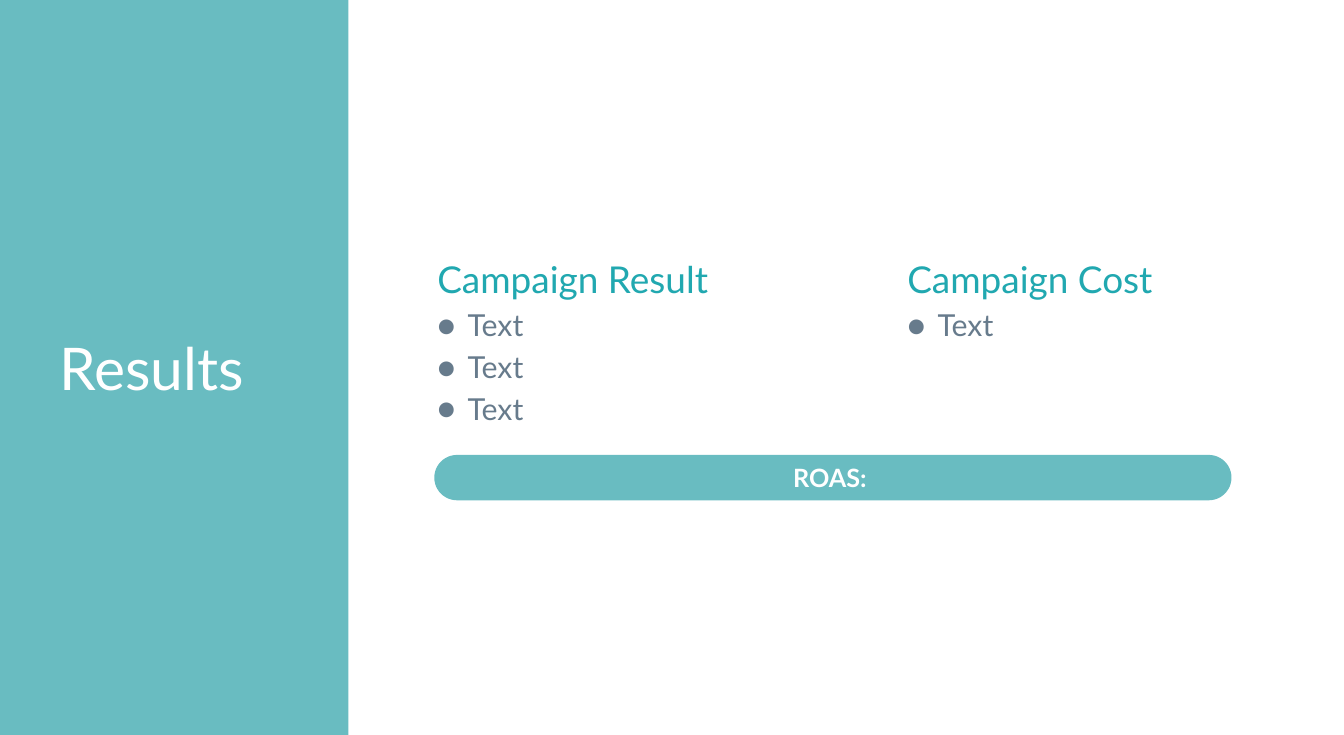
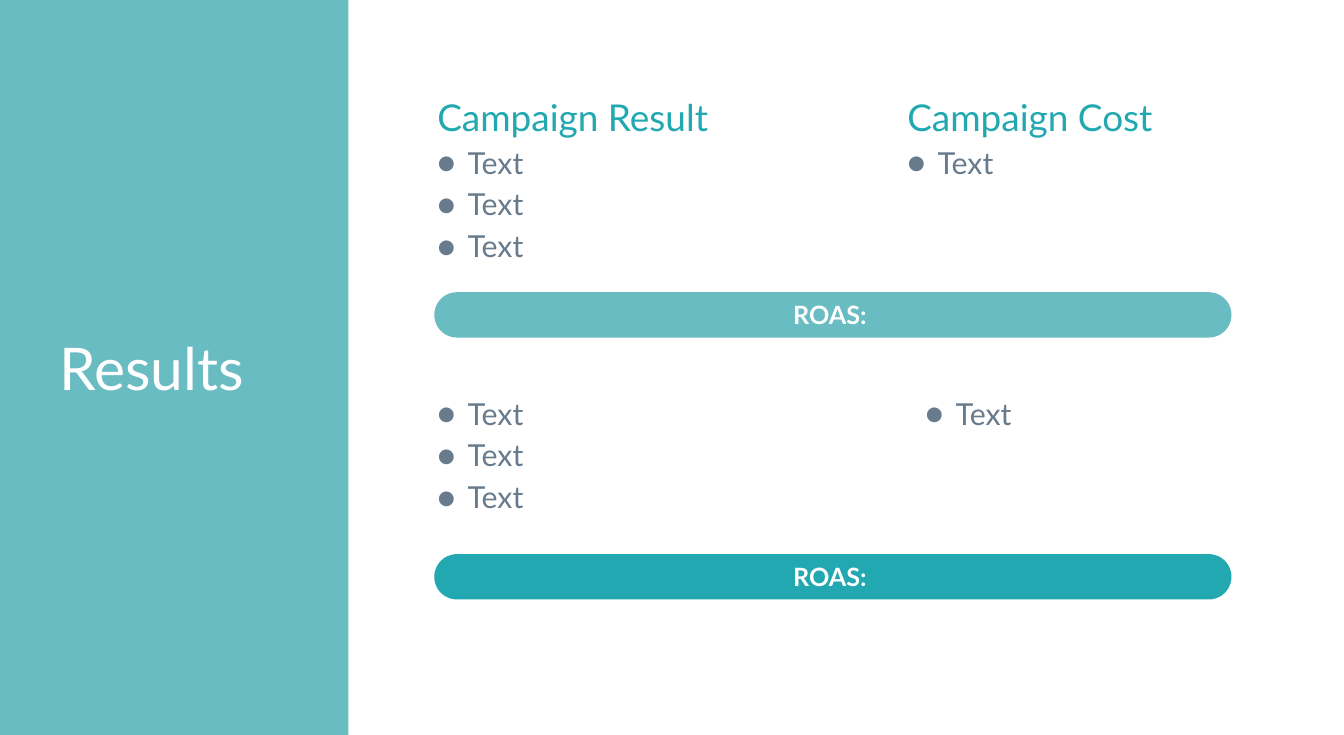
from dataclasses import dataclass

from lxml import etree
from pptx import Presentation
from pptx import util as u
from pptx.dml.color import RGBColor
from pptx.enum import shapes, text
from pptx.oxml.ns import qn

PX = 9144  # EMU: 100 px to the inch
SLIDE_W, SLIDE_H = 2222, 1215
TWO_LISTS, FOUR_LISTS = 3, 4  # layouts with two and four body placeholders


@dataclass(frozen=True)
class Theme:
    font: str = "Lato"
    band: str = "69BCC1"
    accent: str = "21A8B0"
    body: str = "677B8C"
    white: str = "FFFFFF"
    title_size: int = 70
    heading_size: int = 44
    list_size: int = 36
    pill_size: int = 30
    inset: int = 22
    bullet_indent: int = 50


class Deck:
    def __init__(self, theme):
        self.theme = theme
        self.prs = Presentation()
        self.prs.slide_width, self.prs.slide_height = SLIDE_W * PX, SLIDE_H * PX
        self.slide = None
        self.bodies = None

    def new_slide(self, layout):
        self.slide = self.prs.slides.add_slide(self.prs.slide_layouts[layout])
        self.bodies = iter(list(self.slide.placeholders)[1:])

    def run(self, paragraph, words, size, color, bold=False):
        run = paragraph.add_run()
        run.text = words
        run.font.name, run.font.size, run.font.bold = self.theme.font, u.Pt(size), bold
        run.font.color.rgb = RGBColor.from_string(color)

    def block(self, kind, box, color):
        block = self.slide.shapes.add_shape(kind, *(n * PX for n in box))
        block.shadow.inherit = False
        block.fill.solid()
        block.fill.fore_color.rgb = RGBColor.from_string(color)
        block.line.fill.background()
        return block

    def master_band(self):
        """Draw the side band and move it to the back of the slide master."""
        band = self.block(shapes.MSO_SHAPE.RECTANGLE, (0, 0, 576, SLIDE_H), self.theme.band)
        band.element.nvSpPr.cNvPr.set("id", "20")
        self.prs.slide_master.shapes.element.insert(2, band.element)

    def place(self, holder, box, anchor):
        """Move a placeholder and return its prepared text frame."""
        holder.left, holder.top, holder.width, holder.height = (n * PX for n in box)
        frame = holder.text_frame
        frame.word_wrap = True
        frame.auto_size = text.MSO_AUTO_SIZE.NONE
        frame.vertical_anchor = anchor
        frame.margin_left = frame.margin_right = self.theme.inset * PX
        frame.margin_top = frame.margin_bottom = self.theme.inset * PX
        return frame

    def title(self, words):
        frame = self.place(self.slide.shapes.title, (76, 409, 453, 396), text.MSO_ANCHOR.MIDDLE)
        line = frame.paragraphs[0]
        line.alignment = text.PP_ALIGN.LEFT
        self.run(line, words, self.theme.title_size, self.theme.white)

    def set_bullet(self, paragraph, bulleted):
        indent = self.theme.bullet_indent * PX if bulleted else 0
        props = paragraph._p.get_or_add_pPr()
        props.set("marL", str(indent))
        props.set("indent", str(-indent))
        if not bulleted:
            etree.SubElement(props, qn("a:buNone"))
            return
        color = etree.SubElement(props, qn("a:buClr"))
        etree.SubElement(color, qn("a:srgbClr"), val=self.theme.body)
        etree.SubElement(props, qn("a:buFont"), typeface=self.theme.font)
        etree.SubElement(props, qn("a:buChar"), char="●")

    def bullet_list(self, box, items, heading=None):
        frame = self.place(next(self.bodies), box, text.MSO_ANCHOR.TOP)
        theme = self.theme
        lines = [(item, theme.list_size, theme.body, 1.15, True) for item in items]
        if heading:
            lines.insert(0, (heading, theme.heading_size, theme.accent, 1.5, False))
        for number, (words, size, color, spacing, bulleted) in enumerate(lines):
            line = frame.add_paragraph() if number else frame.paragraphs[0]
            line.alignment = text.PP_ALIGN.LEFT
            line.line_spacing = spacing
            line.space_before = line.space_after = u.Pt(0)
            self.set_bullet(line, bulleted)
            self.run(line, words, size, color)

    def pill(self, top, words, color):
        pill = self.block(shapes.MSO_SHAPE.ROUNDED_RECTANGLE, (718, top, 1318, 75), color)
        pill.adjustments[0] = 0.5
        frame = pill.text_frame
        frame.vertical_anchor = text.MSO_ANCHOR.MIDDLE
        frame.margin_left = frame.margin_top = frame.margin_bottom = 0
        frame.margin_right = 10 * PX
        line = frame.paragraphs[0]
        line.alignment = text.PP_ALIGN.CENTER
        self.run(line, words, self.theme.pill_size, self.theme.white, bold=True)

    def campaign(self, top):
        """Headed result and cost lists, with their return in a pill below."""
        self.bullet_list((701, top, 755, 370), ["Text"] * 3, "Campaign Result")
        self.bullet_list((1478, top, 670, 279), ["Text"], "Campaign Cost")
        self.pill(top + 386, "ROAS:", self.theme.band)


def main():
    theme = Theme()
    deck = Deck(theme)

    deck.new_slide(TWO_LISTS)
    deck.master_band()
    deck.title("Results")
    deck.campaign(366)

    deck.new_slide(FOUR_LISTS)
    deck.title("Results")
    deck.campaign(97)
    deck.bullet_list((701, 622, 720, 177), ["Text"] * 3)
    deck.bullet_list((1508, 622, 524, 129), ["Text"])
    deck.pill(916, "ROAS:", theme.accent)

    deck.prs.save("out.pptx")


if __name__ == "__main__":
    main()
